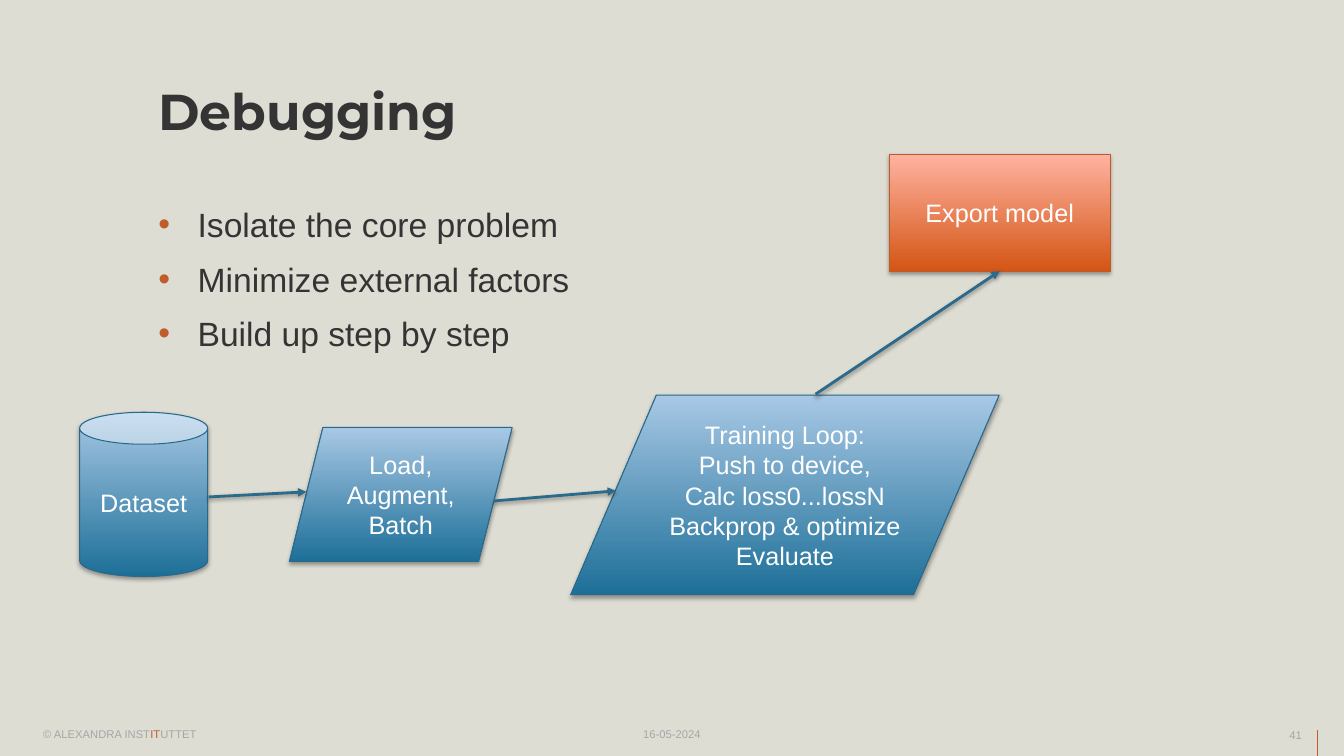
from lxml import etree
from pptx import Presentation
from pptx.dml.color import RGBColor
from pptx.enum.shapes import MSO_CONNECTOR, MSO_SHAPE as SHAPE
from pptx.enum.text import MSO_ANCHOR as ANCHOR, PP_ALIGN as ALIGN
from pptx.oxml.ns import qn
from pptx.util import Inches, Pt


def rgb(value):
    return RGBColor.from_string(value)


def add(parent, tag, **attrs):
    """Append a DrawingML child element and return it."""
    return etree.SubElement(parent, qn(tag), {k: str(v) for k, v in attrs.items()})


def add_shadow(effects, alpha, dist):
    shadow = add(effects, "a:outerShdw", blurRad=Pt(3.1), dist=Pt(dist),
                 dir=90 * 60000, rotWithShape=0)
    color = add(shadow, "a:srgbClr", val="000000")
    add(color, "a:alpha", val=alpha * 1000)


class DebuggingSlide:
    BACKGROUND = "DEDDD4"
    INK = "343434"
    MUTED = "A6A6A6"
    ACCENT = "BE5D2B"
    BULLET = "BF5D2B"
    ARROW = "2B6A8A"
    BLUE = ("1D6F98", "A8C8E5", "286889")
    ORANGE = ("D45615", "FFB2A1", "BD5A26")
    BODY_FONT = "Arial"
    TITLE_FONT = "Montserrat"

    def __init__(self, prs):
        self.slide = prs.slides.add_slide(prs.slide_layouts[6])
        fill = self.slide.background.fill
        fill.solid()
        fill.fore_color.rgb = rgb(self.BACKGROUND)

    def style(self, font, size, color, name=BODY_FONT, bold=False):
        font.name, font.size, font.bold = name, Pt(size), bold
        font.color.rgb = rgb(color)

    def text_box(self, box, inset=True):
        tf = self.slide.shapes.add_textbox(*map(Inches, box)).text_frame
        tf.word_wrap = True
        if not inset:
            tf.margin_left = tf.margin_top = tf.margin_right = tf.margin_bottom = 0
        return tf

    def title(self, text, box):
        tf = self.text_box(box, inset=False)
        tf.text = text
        self.style(tf.paragraphs[0].runs[0].font, 36, self.INK, self.TITLE_FONT, True)

    def bullets(self, items, box):
        tf = self.text_box(box, inset=False)
        tf.text = "\n".join(items)
        for i, p in enumerate(tf.paragraphs):
            p.line_spacing = 1.14
            p.space_before = Pt(6 if i else 0)
            pPr = p._p.get_or_add_pPr()
            pPr.set("marL", str(Inches(0.39)))
            pPr.set("indent", str(Inches(-0.39)))
            add(add(pPr, "a:buClr"), "a:srgbClr", val=self.BULLET)
            add(pPr, "a:buFont", typeface=self.BODY_FONT)
            add(pPr, "a:buChar", char="•")
            self.style(p.runs[0].font, 24, self.INK)

    def footer(self, parts, box, align=ALIGN.LEFT):
        """Add a small line of text from (text, colour) parts."""
        p = self.text_box(box).paragraphs[0]
        p.alignment = align
        for text, color in parts:
            r = p.add_run()
            r.text = text
            self.style(r.font, 8, color)

    def step(self, kind, text, box, colors=BLUE):
        """Add a pipeline step with a vertical gradient and a shadow."""
        sp = self.slide.shapes.add_shape(kind, *map(Inches, box))
        bottom, top, outline = colors
        sp.fill.gradient()
        sp.fill.gradient_angle = 90
        for stop, color, position in zip(sp.fill.gradient_stops, (bottom, top), (0, 1)):
            stop.color.rgb = rgb(color)
            stop.position = position
        sp.line.color.rgb = rgb(outline)
        sp.line.width = Pt(0.75)
        sp.shadow.inherit = False
        add_shadow(sp._element.spPr.find(qn("a:effectLst")), 35, 1.8)
        tf = sp.text_frame
        tf.word_wrap = True
        tf.vertical_anchor = ANCHOR.MIDDLE
        tf.text = text
        for p in tf.paragraphs:
            p.alignment = ALIGN.CENTER
            self.style(p.runs[0].font, 18, "FFFFFF")
        return sp

    def line(self, start, end, color, width):
        """Add a plain line; return it with its empty effect list."""
        cxn = self.slide.shapes.add_connector(
            MSO_CONNECTOR.STRAIGHT, *map(Inches, start + end))
        cxn.line.color.rgb = rgb(color)
        cxn.line.width = Pt(width)
        return cxn, add(cxn._element.spPr, "a:effectLst")

    def arrow(self, start, end):
        cxn, effects = self.line(start, end, self.ARROW, 2)
        add(cxn.line._get_or_add_ln(), "a:tailEnd", type="triangle")
        add_shadow(effects, 38, 1.6)
        return cxn


def main():
    prs = Presentation()
    prs.slide_width, prs.slide_height = Inches(13.33), Inches(7.5)
    s = DebuggingSlide(prs)

    s.line((13.07, 7.24), (13.07, 7.5), s.ACCENT, 0.75)
    s.bullets(["Isolate the core problem", "Minimize external factors",
               "Build up step by step"], (1.57, 1.97, 10.78, 4.72))
    s.title("Debugging", (1.57, 0.79, 10.78, 0.61))

    s.footer([("16-05-2024", s.MUTED)], (6.16, 7.17, 1.01, 0.2), ALIGN.CENTER)
    s.footer([("© ALEXANDRA INST", s.MUTED), ("IT", s.ACCENT), ("UTTET", s.MUTED)],
             (0.33, 7.17, 1.91, 0.2))
    s.footer([("41", s.MUTED)], (10.88, 7.18, 2.13, 0.24), ALIGN.RIGHT)

    s.step(SHAPE.CAN, "Dataset", (0.79, 4.09, 1.27, 1.63))
    s.step(SHAPE.PARALLELOGRAM, "Load,\nAugment,\nBatch", (2.87, 4.24, 2.21, 1.33))
    s.step(SHAPE.FLOWCHART_DATA,
           "Training Loop:\nPush to device,\nCalc loss0...lossN\n"
           "Backprop & optimize\nEvaluate", (5.66, 3.92, 4.25, 1.98))
    export = s.step(SHAPE.RECTANGLE, "Export model", (8.82, 1.53, 2.19, 1.16), s.ORANGE)

    s.arrow((2.07, 4.93), (3.04, 4.88))
    s.arrow((4.9, 4.97), (6.11, 4.87))
    s.arrow((8.09, 3.91), (9.93, 2.69)).end_connect(export, 2)

    prs.save("out.pptx")


if __name__ == "__main__":
    main()
